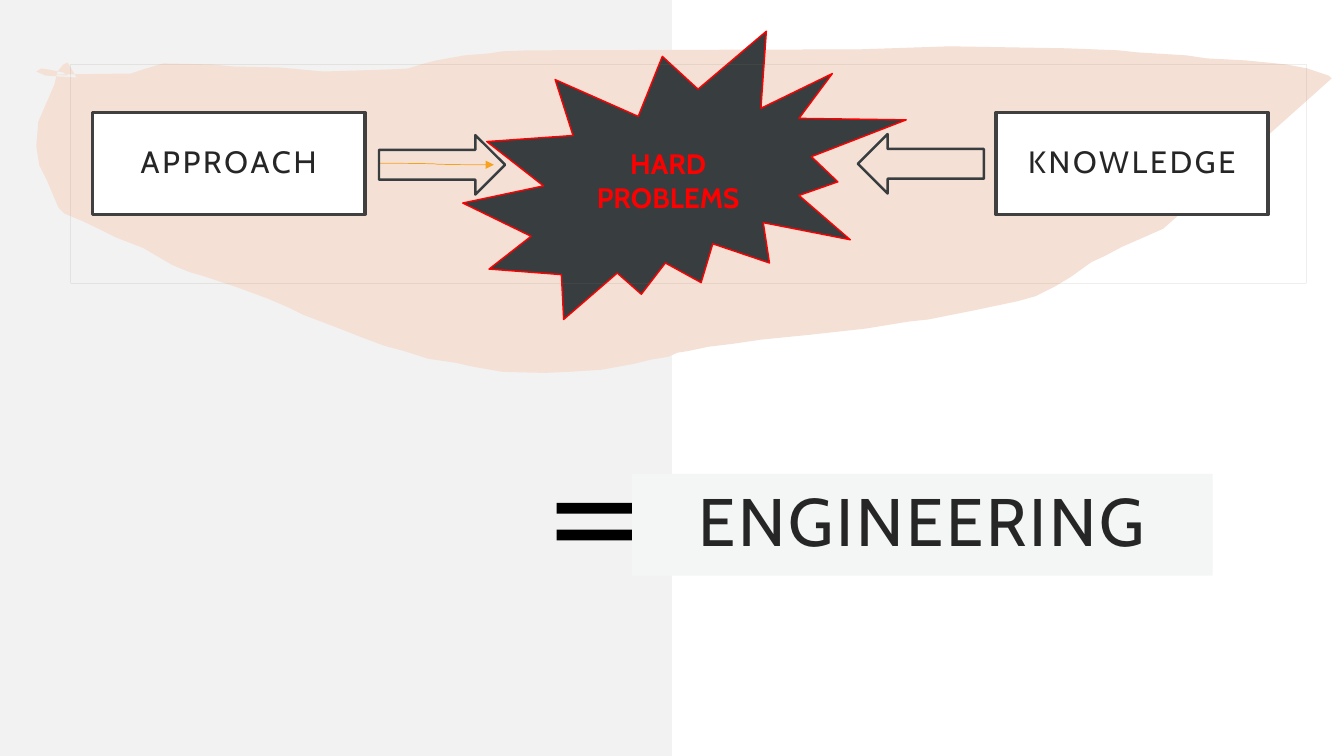
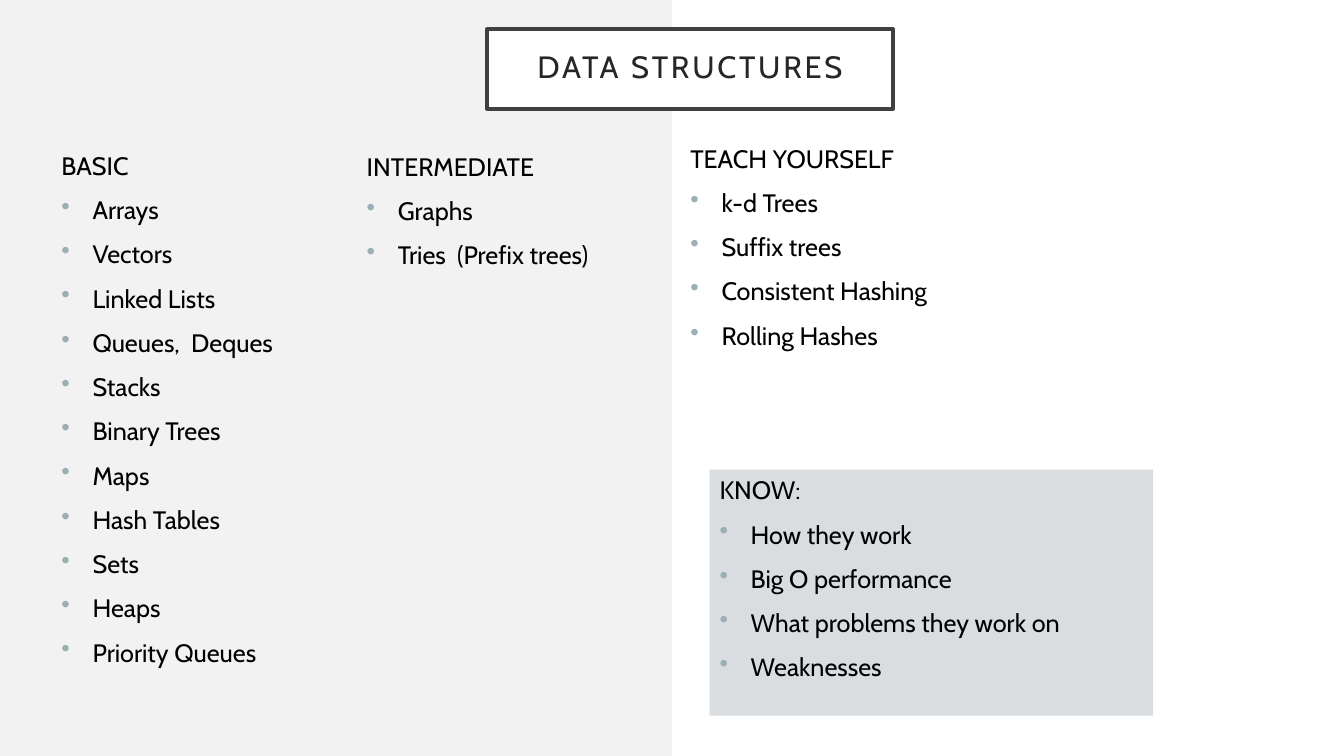
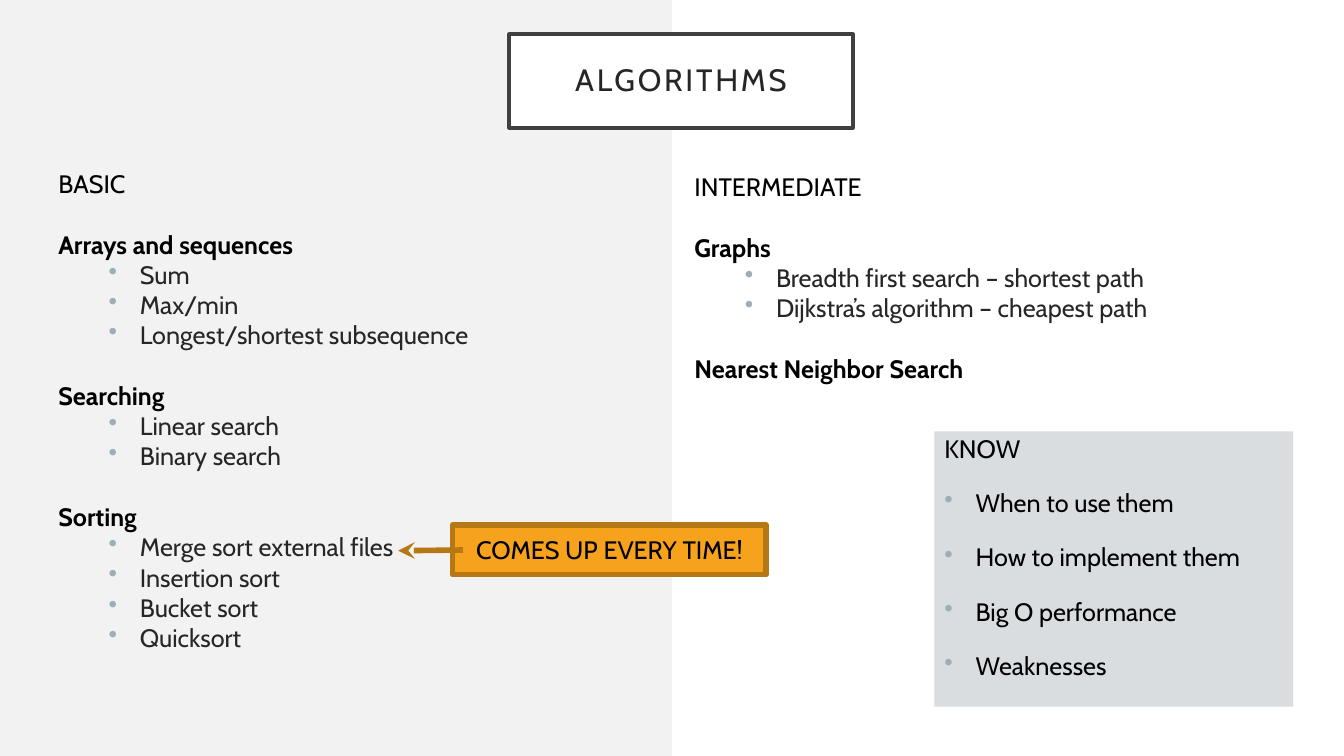
from lxml.etree import SubElement as Sub
from pptx import Presentation
from pptx.dml.color import RGBColor
from pptx.enum.shapes import MSO_CONNECTOR as Link, MSO_SHAPE as Geo
from pptx.enum.text import MSO_ANCHOR as Anchor, PP_ALIGN as Align
from pptx.oxml.ns import qn
from pptx.util import Inches, Pt

# Shared style
FONT = "Cabin"
BLACK, WHITE, INK = "000000", "FFFFFF", "262626"
PAPER, EDGE, SLATE = "F2F2F2", "404040", "383E40"
PEACH, RED, TAN = "F5E0D5", "FF0000", "87795D"
AMBER, RUST = "F6A21D", "B67815"
MIST, PALE, DOT = "D9DDDF", "F4F6F6", "9BAFB5"
HANG = Inches(0.31)

# Outline of the brush stroke, in hundredths of an inch
BRUSH = [
    (52, 74), (130, 73), (145, 68), (162, 63), (210, 64), (231, 66),
    (277, 67), (321, 71), (385, 69), (405, 68), (421, 63), (433, 60),
    (461, 55), (486, 53), (498, 51), (525, 50), (853, 49), (942, 46),
    (1058, 48), (1110, 50), (1128, 52), (1177, 55), (1197, 58),
    (1236, 60), (1276, 64), (1297, 68), (1318, 75), (1321, 78),
    (1154, 227), (1113, 245), (1096, 254), (1083, 260), (1062, 275),
    (1047, 284), (1027, 294), (1009, 299), (966, 308), (921, 317),
    (902, 319), (859, 326), (805, 332), (755, 337), (728, 341),
    (703, 344), (684, 348), (672, 350), (663, 354), (645, 357),
    (629, 361), (596, 367), (563, 369), (540, 370), (499, 369),
    (470, 364), (452, 360), (425, 356), (400, 348), (381, 343),
    (357, 334), (342, 328), (300, 312), (286, 305), (265, 296),
    (235, 285), (202, 274), (188, 270), (171, 263), (142, 246),
    (116, 236), (100, 228), (81, 219), (64, 212), (58, 206), (47, 180),
    (39, 164), (36, 145), (38, 121), (44, 107), (54, 84), (57, 71),
    (63, 64), (67, 62), (76, 77), (60, 76), (45, 75), (36, 71), (41, 68),
    (48, 69), (63, 72), (67, 75),
]

# Paragraph kinds used in the lists
KINDS = {
    "head": {},
    "item": {"left": HANG, "dot": True},
    "topic": {"bold": True, "gap": 21.7},
    "sub": {"left": Inches(0.81), "dot": True, "color": INK, "level": 1},
}


def rgb(code):
    return RGBColor.from_string(code)


def write(shape, text, size=18, color=BLACK, bold=False, align=Align.LEFT,
          gap=0, lead=None, track=0, left=0, dot=False, level=0):
    """Add one formatted paragraph to a shape."""
    frame = shape.text_frame
    para = frame.paragraphs[0]
    if para.runs:
        para = frame.add_paragraph()
    para.alignment, para.level = align, level
    para.space_before = Pt(gap)
    if lead:
        para.line_spacing = lead
    run = para.add_run()
    run.text = text
    font = run.font
    font.name, font.size, font.bold = FONT, Pt(size), bold
    font.color.rgb = rgb(color)
    if track:
        font._element.set("spc", str(track * 100))
    if dot:
        props = para._p.get_or_add_pPr()
        props.set("marL", str(left))
        props.set("indent", str(-HANG))
        Sub(Sub(props, qn("a:buClr")), qn("a:srgbClr")).set("val", DOT)
        Sub(props, qn("a:buChar")).set("char", "•")


class Deck:
    """Holds the style and the current slide; lengths are % of the slide."""

    def __init__(self):
        self.prs = Presentation()
        self.prs.slide_width = Inches(13.333)
        self.prs.slide_height = Inches(7.5)
        back = self.prs.slide_master.background.fill
        back.solid()
        back.fore_color.rgb = rgb(PAPER)

    def page(self):
        self.slide = self.prs.slides.add_slide(self.prs.slide_layouts[6])
        self.shape((50, 0, 50, 100), fill=WHITE)

    def spot(self, x, y):
        wide, high = self.prs.slide_width, self.prs.slide_height
        return round(x * wide / 100), round(y * high / 100)

    def paint(self, shape, fill=None, line=None, width=1):
        shape.shadow.inherit = False
        if fill:
            shape.fill.solid()
            shape.fill.fore_color.rgb = rgb(fill)
        else:
            shape.fill.background()
        if line:
            shape.line.color.rgb = rgb(line)
            shape.line.width = Pt(width)
        else:
            shape.line.fill.background()

    def shape(self, box, geo=Geo.RECTANGLE, adj=(), turn=0, **look):
        spot = self.spot(*box[:2]) + self.spot(*box[2:])
        shape = self.slide.shapes.add_shape(geo, *spot)
        for i, value in enumerate(adj):
            shape.adjustments[i] = value
        shape.rotation = turn
        self.paint(shape, **look)
        shape.text_frame.vertical_anchor = Anchor.MIDDLE
        return shape

    def title(self, box, text, size=22, fill=WHITE, line=EDGE):
        shape = self.shape(box, fill=fill, line=line, width=2.5)
        frame = shape.text_frame
        frame.margin_left = frame.margin_right = Inches(0.2)
        frame.margin_top = frame.margin_bottom = Inches(0.2)
        write(shape, text, size=size, color=INK, align=Align.CENTER,
              lead=0.9, track=2)

    def list(self, box, rows, fill=None, gap=0, lead=None):
        """Rows are (kind, texts); gap is the space above each item."""
        if fill:
            shape = self.shape(box, fill=fill)
        else:
            spot = self.spot(*box[:2]) + self.spot(*box[2:])
            shape = self.slide.shapes.add_textbox(*spot)
        shape.text_frame.word_wrap = True
        shape.text_frame.vertical_anchor = Anchor.TOP
        for kind, texts in rows:
            look = {"gap": 0 if kind == "head" else gap, "lead": lead}
            for text in texts:
                write(shape, text, **(look | KINDS[kind]))

    def brush(self, dots, fill):
        form = self.slide.shapes.build_freeform(*dots[0], scale=Inches(0.01))
        form.add_line_segments(dots[1:], close=True)
        self.paint(form.convert_to_shape(), fill=fill)

    def tip(self, line, kind):
        Sub(line._get_or_add_ln(), qn("a:tailEnd")).set("type", kind)

    def curve(self, start, end, color, width):
        link = self.slide.shapes.add_connector(
            Link.CURVE, *self.spot(*start), *self.spot(*end))
        link.line.color.rgb = rgb(color)
        link.line.width = Pt(width)
        self.tip(link.line, "triangle")
        Sub(link._element.spPr, qn("a:effectLst"))

    def save(self):
        self.prs.save("out.pptx")


def main():
    deck = Deck()

    # Slide 1: approach and knowledge meet hard problems
    deck.page()
    deck.brush(BRUSH, PEACH)
    deck.title((6.9, 14.9, 20.25, 13.47), "APPROACH")
    burst = deck.shape((34.43, 4.13, 33, 38.13), Geo.EXPLOSION2,
                       fill=SLATE, line=RED)
    write(burst, "HARD PROBLEMS", size=20, color=RED, bold=True,
          align=Align.CENTER)
    deck.title((74.1, 14.9, 20.25, 13.47), "KNOWLEDGE")
    deck.curve((28.13, 21.6), (36.75, 21.8), AMBER, 0.5)
    for x, y, turn in ((28.2, 17.87, 0), (63.83, 17.73, 180)):
        deck.shape((x, y, 9.38, 7.87), Geo.RIGHT_ARROW, turn=turn,
                   line=SLATE, width=1.75)
    deck.shape((5.25, 8.53, 91.95, 28.93), Geo.FRAME, adj=(0,), fill=TAN)
    deck.shape((40.28, 64.67, 8.63, 8.67), Geo.MATH_EQUAL,
               adj=(0.167, 0.241), fill=BLACK)
    deck.title((47.03, 62.67, 43.2, 13.47), "ENGINEERING", size=48,
               fill=PALE, line=None)

    # Slide 2: data structures
    deck.page()
    for box, fill, head, items in (
        ((3.83, 19.2, 17.48, 71.07), None, "BASIC",
         ["Arrays", "Vectors", "Linked Lists", "Queues,  Deques", "Stacks",
          "Binary Trees", "Maps", "Hash Tables", "Sets", "Heaps",
          "Priority Queues"]),
        ((50.63, 18.27, 22.5, 40.67), None, "TEACH YOURSELF",
         ["k-d Trees", "Suffix trees", "Consistent Hashing",
          "Rolling Hashes"]),
        ((26.55, 19.33, 19.35, 24.4), None, "INTERMEDIATE",
         ["Graphs", "Tries  (Prefix trees)"]),
        ((52.8, 62.13, 33, 32.53), MIST, "KNOW:",
         ["How they work", "Big O performance",
          "What problems they work on", "Weaknesses"]),
    ):
        deck.list(box, [("head", [head]), ("item", items)], fill, gap=10)
    deck.title((36.23, 3.87, 30.23, 10.53), "DATA STRUCTURES")

    # Slide 3: algorithms
    deck.page()
    deck.list((3.6, 21.6, 40.95, 75.33), [
        ("head", ["BASIC"]),
        ("topic", ["Arrays and sequences"]),
        ("sub", ["Sum", "Max/min", "Longest/shortest subsequence"]),
        ("topic", ["Searching"]),
        ("sub", ["Linear search", "Binary search"]),
        ("topic", ["Sorting"]),
        ("sub", ["Merge sort external files", "Insertion sort",
                 "Bucket sort", "Quicksort"]),
    ])
    deck.list((50.93, 22, 37.2, 26), [
        ("head", ["INTERMEDIATE"]),
        ("topic", ["Graphs"]),
        ("sub", ["Breadth first search – shortest path",
                 "Dijkstra’s algorithm – cheapest path"]),
        ("topic", ["Nearest Neighbor Search"]),
    ])
    deck.list((69.53, 57.07, 26.7, 36.4), [
        ("head", ["KNOW"]),
        ("item", ["When to use them", "How to implement them",
                  "Big O performance", "Weaknesses"]),
    ], MIST, gap=19.4, lead=0.9)
    deck.title((37.88, 4.53, 25.58, 12.4), "ALGORITHMS")
    call = deck.shape((33.68, 69.47, 23.33, 6.53), Geo.LINE_CALLOUT_1,
                      adj=(0.504, 0.033, 0.518, -0.174),
                      fill=AMBER, line=RUST, width=4)
    deck.tip(call.line, "stealth")
    write(call, "COMES UP EVERY TIME!", align=Align.CENTER)

    deck.save()


if __name__ == "__main__":
    main()
